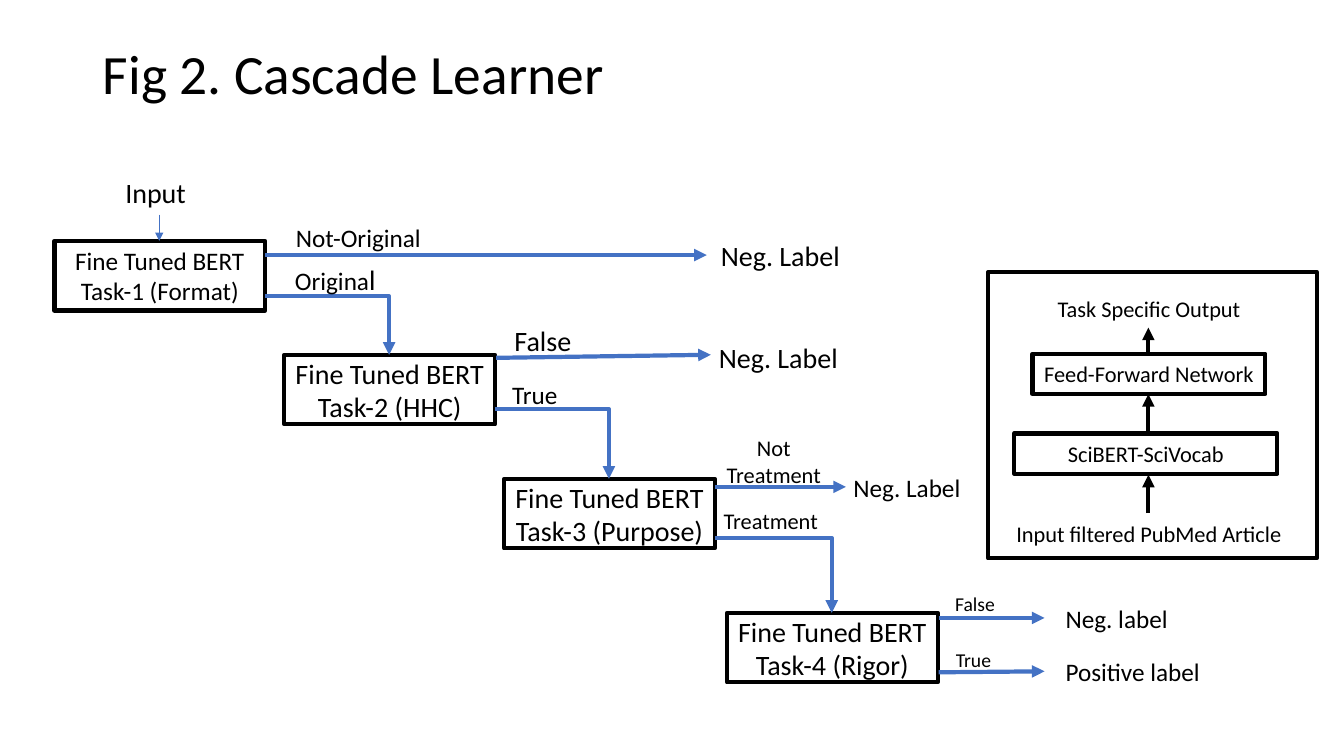
from dataclasses import dataclass

from lxml.etree import SubElement
from pptx import Presentation
from pptx.dml.color import RGBColor
from pptx.enum.shapes import MSO_CONNECTOR, MSO_SHAPE
from pptx.enum.text import MSO_ANCHOR, MSO_AUTO_SIZE, PP_ALIGN
from pptx.oxml.ns import qn
from pptx.util import Pt

EMU_PER_PX = 9144  # 100 px to the inch
TASK_WIDTH, TASK_HEIGHT = 209, 69
NETWORK_CENTRE = 1139


def px(length):
    return length * EMU_PER_PX


@dataclass(frozen=True)
class Theme:
    font: str = "Calibri"
    ink: RGBColor = RGBColor(0, 0, 0)
    paper: RGBColor = RGBColor(255, 255, 255)
    flow: RGBColor = RGBColor(0x44, 0x72, 0xC4)
    title: float = 39.6
    large: int = 20
    medium: int = 18
    small: int = 16
    tiny: int = 14
    thick: float = 3
    thin: float = 0.5


class Diagram:
    def __init__(self, page, theme):
        self.page = page
        self.theme = theme

    def set_text(self, frame, lines, align, anchor):
        """Fill a frame; each line is a list of (text, size) runs."""
        frame.word_wrap = True
        frame.vertical_anchor = anchor
        for index, line in enumerate(lines):
            para = frame.add_paragraph() if index else frame.paragraphs[0]
            para.alignment = align
            for text, size in line:
                span = para.add_run()
                span.text = text
                span.font.name = self.theme.font
                span.font.size = Pt(size)
                span.font.color.rgb = self.theme.ink

    def title(self, text, left, top, width, height):
        title = self.page.shapes.title
        title.left, title.top = px(left), px(top)
        title.width, title.height = px(width), px(height)
        frame = title.text_frame
        frame.auto_size = MSO_AUTO_SIZE.NONE
        self.set_text(frame, [[(text, self.theme.title)]], PP_ALIGN.LEFT, MSO_ANCHOR.MIDDLE)
        frame.paragraphs[0].line_spacing = 0.9

    def box(self, left, top, width, height, lines=(), size=None):
        box = self.page.shapes.add_shape(
            MSO_SHAPE.RECTANGLE, px(left), px(top), px(width), px(height))
        box.shadow.inherit = False
        box.fill.solid()
        box.fill.fore_color.rgb = self.theme.paper
        box.line.color.rgb = self.theme.ink
        box.line.width = Pt(self.theme.thick)
        self.set_text(box.text_frame, [[(line, size)] for line in lines],
                      PP_ALIGN.CENTER, MSO_ANCHOR.MIDDLE)

    def label(self, left, top, width, height, *spans, align=PP_ALIGN.CENTER):
        label = self.page.shapes.add_textbox(px(left), px(top), px(width), px(height))
        self.set_text(label.text_frame, [spans], align, MSO_ANCHOR.TOP)

    def arrow(self, start, end, color, weight, bent=False):
        """Draw an arrow; a bent one runs across, then down."""
        kind = MSO_CONNECTOR.ELBOW if bent else MSO_CONNECTOR.STRAIGHT
        arrow = self.page.shapes.add_connector(kind, *map(px, (*start, *end)))
        arrow.line.color.rgb = color
        arrow.line.width = Pt(weight)
        properties = arrow._element.spPr
        if bent:
            properties.find(qn("a:prstGeom")).set("prst", "bentConnector2")
        SubElement(properties.find(qn("a:ln")), qn("a:tailEnd"), type="triangle")
        SubElement(properties, qn("a:effectLst"))


def draw_network(diagram):
    theme = diagram.theme
    diagram.box(980, 270, 326, 284)
    diagram.box(1006, 430, 261, 40, ["SciBERT-SciVocab"], theme.small)
    diagram.box(1024, 351, 231, 40, ["Feed-Forward Network"], theme.small)
    diagram.label(983, 511, 313, 37, ("Input filtered PubMed Article", theme.small))
    diagram.label(1024, 288, 231, 37, ("Task Specific Output", theme.small))
    for bottom, top in [(509, 471), (431, 391), (351, 325)]:
        diagram.arrow((NETWORK_CENTRE, bottom), (NETWORK_CENTRE, top),
                      theme.ink, theme.thick)


def draw_cascade(diagram):
    theme = diagram.theme
    tasks = [
        ("Task-1 (Format)", 54, 239, theme.medium),
        ("Task-2 (HHC)", 282, 352, theme.large),
        ("Task-3 (Purpose)", 500, 475, theme.large),
        ("Task-4 (Rigor)", 721, 608, theme.large),
    ]
    for task, left, top, size in tasks:
        diagram.box(left, top, TASK_WIDTH, TASK_HEIGHT, ["Fine Tuned BERT", task], size)

    # Each accepted article drops to the top centre of the next task.
    for (_, left, _, _), (_, next_left, next_top, _), exit_y in zip(
            tasks, tasks[1:], (294, 406, 534)):
        diagram.arrow((left + TASK_WIDTH, exit_y),
                      (next_left + TASK_WIDTH // 2, next_top),
                      theme.flow, theme.thick, bent=True)

    outcomes = [
        ((263, 253), (701, 253)),
        ((492, 355), (705, 352)),
        ((709, 483), (839, 483)),
        ((931, 613), (1036, 613)),
        ((931, 667), (1036, 666)),
    ]
    for start, end in outcomes:
        diagram.arrow(start, end, theme.flow, theme.thick)
    diagram.arrow((158, 213), (158, 239), theme.flow, theme.thin)


def draw_labels(diagram):
    theme = diagram.theme
    labels = [
        ("Input ", 112, 169, 91, 44, theme.large),
        ("Not-Original", 282, 216, 147, 40, theme.medium),
        ("False", 496, 316, 85, 44, theme.large),
        ("True", 478, 371, 105, 40, theme.medium),
        ("Not Treatment", 696, 426, 143, 64, theme.small),
        ("Treatment", 691, 498, 147, 37, theme.small),
        ("False", 934, 582, 66, 34, theme.tiny),
        ("True", 925, 638, 81, 34, theme.tiny),
        ("Neg. Label", 682, 232, 184, 44, theme.large),
        ("Neg. Label", 680, 333, 184, 44, theme.large),
        ("Neg. Label", 820, 464, 159, 40, theme.medium),
    ]
    for text, left, top, width, height, size in labels:
        diagram.label(left, top, width, height, (text, size))
    diagram.label(282, 256, 101, 44, ("Origina", theme.medium), ("l ", theme.large))
    for text, top, width in [("Neg. label", 594, 152), ("Positive label", 646, 174)]:
        diagram.label(1047, top, width, 40, (text, theme.medium), align=PP_ALIGN.LEFT)


def main():
    deck = Presentation()
    deck.slide_width, deck.slide_height = px(1333), px(750)
    title_only = deck.slide_layouts.get_by_name("Title Only")
    diagram = Diagram(deck.slides.add_slide(title_only), Theme())
    diagram.title("Fig 2. Cascade Learner", 92, 40, 1150, 72)
    draw_network(diagram)
    draw_cascade(diagram)
    draw_labels(diagram)
    deck.save("out.pptx")


if __name__ == "__main__":
    main()
